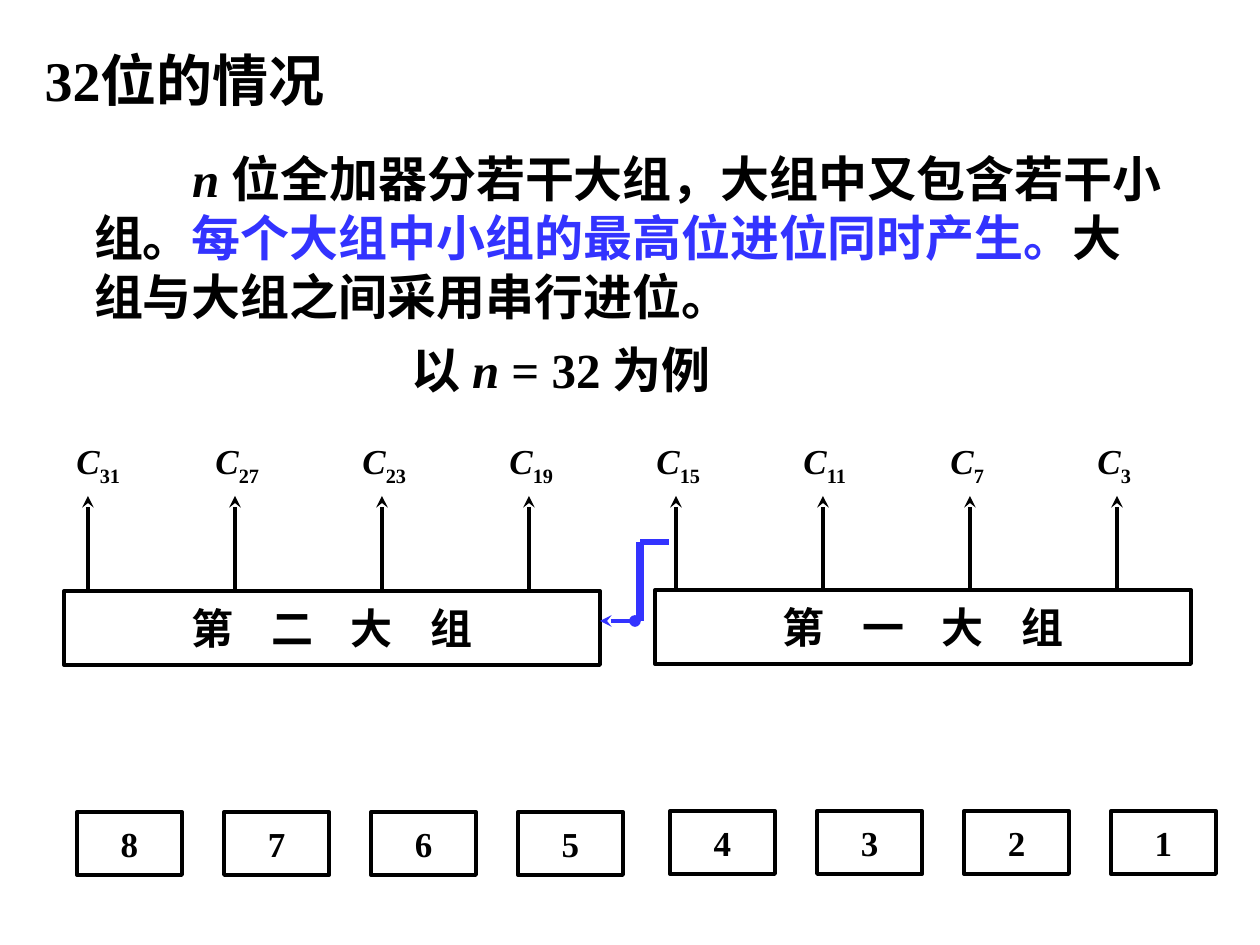
from dataclasses import dataclass

from lxml import etree
from pptx import Presentation
from pptx.dml.color import RGBColor
from pptx.enum.shapes import MSO_CONNECTOR, MSO_SHAPE
from pptx.enum.text import MSO_ANCHOR, MSO_AUTO_SIZE, PP_ALIGN
from pptx.oxml.ns import qn
from pptx.util import Emu, Inches, Pt

RECT = MSO_SHAPE.RECTANGLE
STRAIGHT = MSO_CONNECTOR.STRAIGHT
LEFT, CENTER = PP_ALIGN.LEFT, PP_ALIGN.CENTER
MIDDLE, TOP = MSO_ANCHOR.MIDDLE, MSO_ANCHOR.TOP
PX_PER_INCH = 126


def px(length):
    return Emu(round(length * 914400 / PX_PER_INCH))


@dataclass(frozen=True)
class Theme:
    font: str = "Times New Roman"
    ink: RGBColor = RGBColor(0x00, 0x00, 0x00)
    accent: RGBColor = RGBColor(0x33, 0x33, 0xFF)
    title: int = 32
    body: int = 28
    group: int = 24
    label: int = 20
    line: float = 2.25


class SlideBuilder:
    def __init__(self, slide, theme):
        self.slide = slide
        self.theme = theme

    def run(self, paragraph, text, size, color=None, italic=False,
            subscript=False, tracking=0):
        run = paragraph.add_run()
        run.text = text
        font = run.font
        font.name = self.theme.font
        font.size = Pt(size)
        font.bold = True
        font.italic = italic
        font.color.rgb = color or self.theme.ink
        if subscript:
            run._r.get_or_add_rPr().set("baseline", "-25000")
        if tracking:
            run._r.get_or_add_rPr().set("spc", str(tracking * 100))

    def frame(self, shape, anchor=MIDDLE, align=LEFT, inset=None, wrap=True):
        frame = shape.text_frame
        frame.word_wrap = wrap
        frame.auto_size = MSO_AUTO_SIZE.NONE
        frame.vertical_anchor = anchor
        if inset is not None:
            frame.margin_left = frame.margin_right = px(inset)
            frame.margin_top = frame.margin_bottom = px(inset)
        paragraph = frame.paragraphs[0]
        paragraph.alignment = align
        return paragraph

    def placeholder(self, shape, x, y, w, h, inset=None):
        shape.left, shape.top, shape.width, shape.height = map(px, (x, y, w, h))
        return self.frame(shape, inset=inset)

    def title(self, text, x, y, w, h):
        paragraph = self.placeholder(self.slide.shapes.title, x, y, w, h)
        self.run(paragraph, text, self.theme.title)

    def body(self, x, y, w, h, first_indent):
        paragraph = self.placeholder(self.slide.placeholders[1], x, y, w, h, inset=0)
        properties = paragraph._p.get_or_add_pPr()
        properties.set("marL", "0")
        properties.set("indent", str(px(first_indent)))
        etree.SubElement(properties, qn("a:buNone"))
        paragraph.space_before = Pt(0)
        return paragraph

    def text(self, x, y, w, h, anchor=TOP, inset=None, wrap=True):
        box = self.slide.shapes.add_textbox(*map(px, (x, y, w, h)))
        return self.frame(box, anchor, inset=inset, wrap=wrap)

    def box(self, x, y, w, h):
        box = self.slide.shapes.add_shape(RECT, *map(px, (x, y, w, h)))
        box.shadow.inherit = False
        box.fill.background()
        box.line.color.rgb = self.theme.ink
        box.line.width = Pt(self.theme.line)
        return self.frame(box, align=CENTER)

    def line(self, x1, y1, x2, y2, color=None, width=None, head=None, tail=None):
        line = self.slide.shapes.add_connector(STRAIGHT, *map(px, (x1, y1, x2, y2)))
        line.line.color.rgb = color or self.theme.ink
        line.line.width = Pt(width or self.theme.line)
        outline = line.line._get_or_add_ln()
        for tag, kind in (("a:headEnd", head), ("a:tailEnd", tail)):
            if kind:
                etree.SubElement(outline, qn(tag), type=kind)
        etree.SubElement(line._element.spPr, qn("a:effectLst"))


def main():
    theme = Theme()
    deck = Presentation()
    deck.slide_width, deck.slide_height = Inches(10), Inches(7.5)
    page = SlideBuilder(deck.slides.add_slide(deck.slide_layouts[1]), theme)

    # Title and explanation
    page.title("32位的情况", 32, 32, 998, 94)
    explanation = page.body(94, 116, 1071, 242, first_indent=98)
    page.run(explanation, "n ", theme.body, italic=True)
    page.run(explanation, "位全加器分若干大组，大组中又包含若干小组。", theme.body)
    page.run(explanation, "每个大组中小组的最高位进位同时产生。", theme.body, theme.accent)
    page.run(explanation, "大组与大组之间采用串行进位。", theme.body)

    example = page.text(412, 344, 348, 49, MIDDLE, inset=0)
    page.run(example, "以 ", theme.body)
    page.run(example, "n", theme.body, italic=True)
    page.run(example, " = 32 为例", theme.body)

    # Two large groups, high bits on the left
    for x, y, spaced, last in ((64, 591, "第 二 大 ", "组"), (655, 590, "第 一 大 ", "组")):
        group = page.box(x, y, 536, 74)
        page.run(group, spaced, theme.group, tracking=8)
        page.run(group, last, theme.group)

    # Carry outputs, one for every four bits
    pitch = 147
    for column, bit in enumerate(range(31, 0, -4)):
        x = 88 + column * pitch
        page.line(x, 591, x, 496, tail="stealth")
        carry = page.text(max(64, x - 32), 433, 72, 54, wrap=False)
        page.run(carry, "C", theme.label, italic=True)
        page.run(carry, str(bit), theme.label, subscript=True)

    # Serial carry from the first large group to the second
    page.line(600, 621, 635, 621, theme.accent, head="stealth", tail="oval")
    page.line(669, 542, 640, 542, theme.accent, 3)
    page.line(640, 542, 640, 621, theme.accent, 4.5)

    # Small groups, numbered from the right
    for left, top, numbers in ((77, 812, (8, 7, 6, 5)), (670, 811, (4, 3, 2, 1))):
        for column, number in enumerate(numbers):
            small_group = page.box(left + column * pitch, top, 105, 63)
            page.run(small_group, str(number), theme.label)

    deck.save("out.pptx")


if __name__ == "__main__":
    main()
